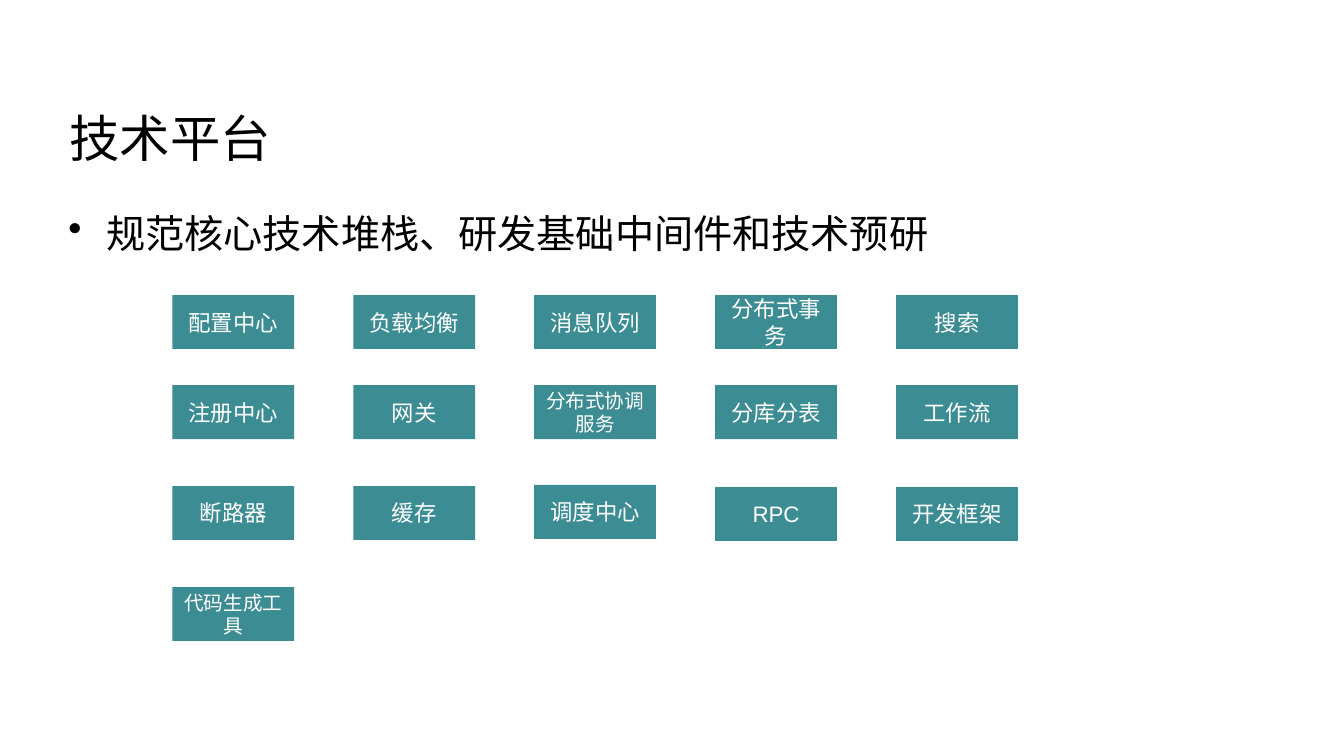
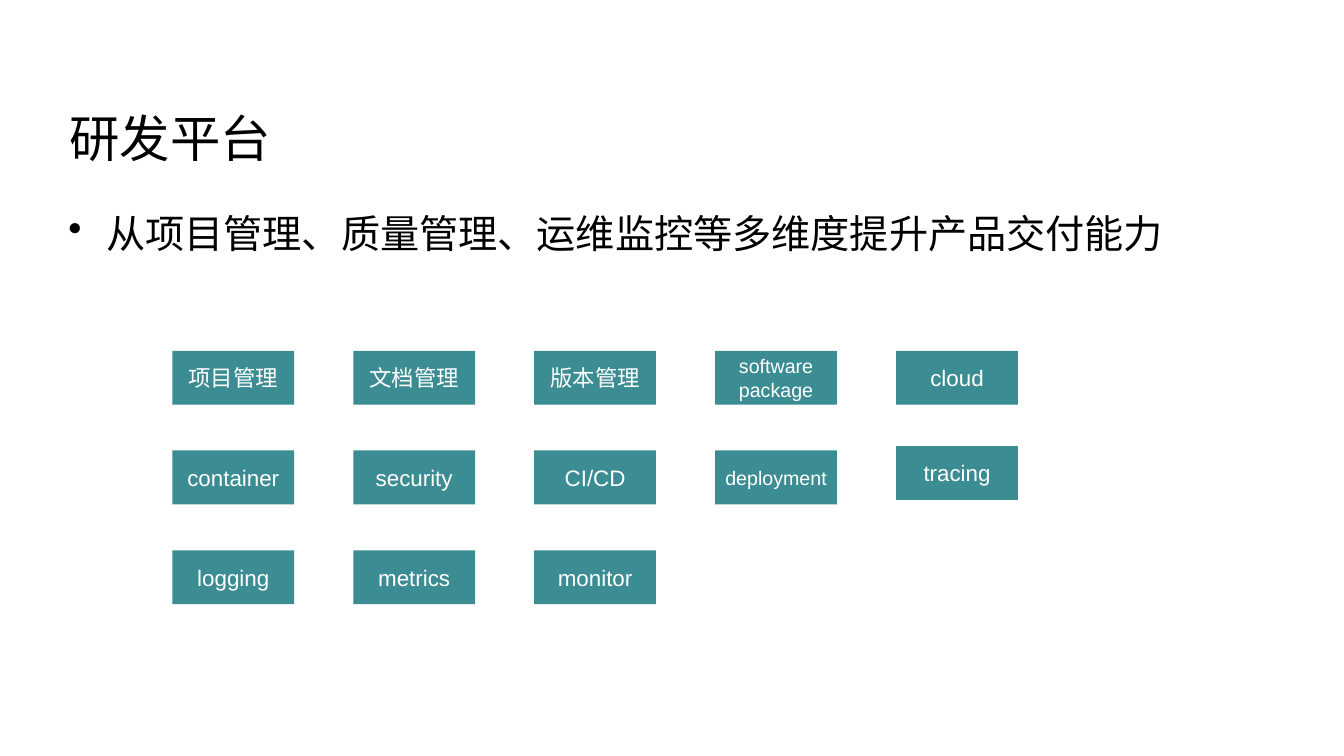
from lxml import etree
from pptx import Presentation
from pptx.dml.color import RGBColor
from pptx.enum.shapes import MSO_SHAPE
from pptx.enum.text import MSO_ANCHOR, MSO_AUTO_SIZE, PP_ALIGN
from pptx.oxml.ns import qn
from pptx.util import Pt

RECTANGLE = MSO_SHAPE.RECTANGLE
MIDDLE, TOP = MSO_ANCHOR.MIDDLE, MSO_ANCHOR.TOP
LEFT, CENTER = PP_ALIGN.LEFT, PP_ALIGN.CENTER
NO_AUTOFIT = MSO_AUTO_SIZE.NONE

COLORS = {"text": "000000", "tile": "3C8C93", "tile_text": "FFFFFF"}
FONT = "Arial"
TITLE_ONLY = 5
BULLET_INDENT = 27

TILE_WIDTH, TILE_HEIGHT = 87, 38.5
FIRST_COLUMN, COLUMN_PITCH = 123.1, 129.25
TILE_SIZE, SMALL_TILE_SIZE = 16, 14
SMALL_LABELS = {"分布式协调服务", "代码生成工具", "software package", "deployment"}
# Tiles that sit slightly off their row
NUDGES = {"调度中心": -0.8, "RPC": 0.7, "开发框架": 0.7, "tracing": -3.2}

# Each row: top edge, labels from left to right
TECHNOLOGY_ROWS = [
    (210.8, ["配置中心", "负载均衡", "消息队列", "分布式事务", "搜索"]),
    (275.2, ["注册中心", "网关", "分布式协调服务", "分库分表", "工作流"]),
    (347.2, ["断路器", "缓存", "调度中心", "RPC", "开发框架"]),
    (419.4, ["代码生成工具"]),
]
DEVELOPMENT_ROWS = [
    (250.6, ["项目管理", "文档管理", "版本管理", "software package", "cloud"]),
    (321.8, ["container", "security", "CI/CD", "deployment", "tracing"]),
    (393.1, ["logging", "metrics", "monitor"]),
]


def write(shape, text, size, color, align, anchor):
    """Fill the shape with one formatted paragraph and return it."""
    frame = shape.text_frame
    frame.word_wrap = True
    frame.auto_size = NO_AUTOFIT
    frame.vertical_anchor = anchor
    paragraph = frame.paragraphs[0]
    paragraph.text = text
    paragraph.alignment = align
    paragraph.font.name = FONT
    paragraph.font.size = Pt(size)
    paragraph.font.color.rgb = RGBColor.from_string(COLORS[color])
    return paragraph


def set_title(slide, text):
    title = slide.shapes.title
    title.left, title.top = Pt(42.5), Pt(61.2)
    title.width, title.height = Pt(861.8), Pt(73.4)
    write(title, text, 36, "text", LEFT, MIDDLE)


def add_summary(slide, text):
    summary = slide.shapes.add_textbox(Pt(41.8), Pt(146.2), Pt(864), Pt(339))
    paragraph = write(summary, text, 28, "text", LEFT, TOP)
    paragraph.space_before = Pt(5.6)
    properties = paragraph._p.get_or_add_pPr()
    properties.set("marL", str(Pt(BULLET_INDENT)))
    properties.set("indent", str(-Pt(BULLET_INDENT)))
    bullet = etree.Element(qn("a:buChar"), char="•")
    properties.find(qn("a:spcBef")).addnext(bullet)


def add_tile(slide, label, left, top):
    tile = slide.shapes.add_shape(
        RECTANGLE, Pt(left), Pt(top), Pt(TILE_WIDTH), Pt(TILE_HEIGHT))
    tile.shadow.inherit = False
    tile.fill.solid()
    tile.fill.fore_color.rgb = RGBColor.from_string(COLORS["tile"])
    tile.line.fill.background()
    size = SMALL_TILE_SIZE if label in SMALL_LABELS else TILE_SIZE
    write(tile, label, size, "tile_text", CENTER, MIDDLE)


def add_platform_slide(deck, title, summary, rows):
    slide = deck.slides.add_slide(deck.slide_layouts[TITLE_ONLY])
    set_title(slide, title)
    add_summary(slide, summary)
    for top, labels in rows:
        for column, label in enumerate(labels):
            left = FIRST_COLUMN + column * COLUMN_PITCH
            add_tile(slide, label, left, top + NUDGES.get(label, 0))


def main():
    deck = Presentation()
    deck.slide_width, deck.slide_height = Pt(960), Pt(540)
    add_platform_slide(deck, "技术平台",
                       "规范核心技术堆栈、研发基础中间件和技术预研",
                       TECHNOLOGY_ROWS)
    add_platform_slide(deck, "研发平台",
                       "从项目管理、质量管理、运维监控等多维度提升产品交付能力",
                       DEVELOPMENT_ROWS)
    deck.save("out.pptx")


if __name__ == "__main__":
    main()
